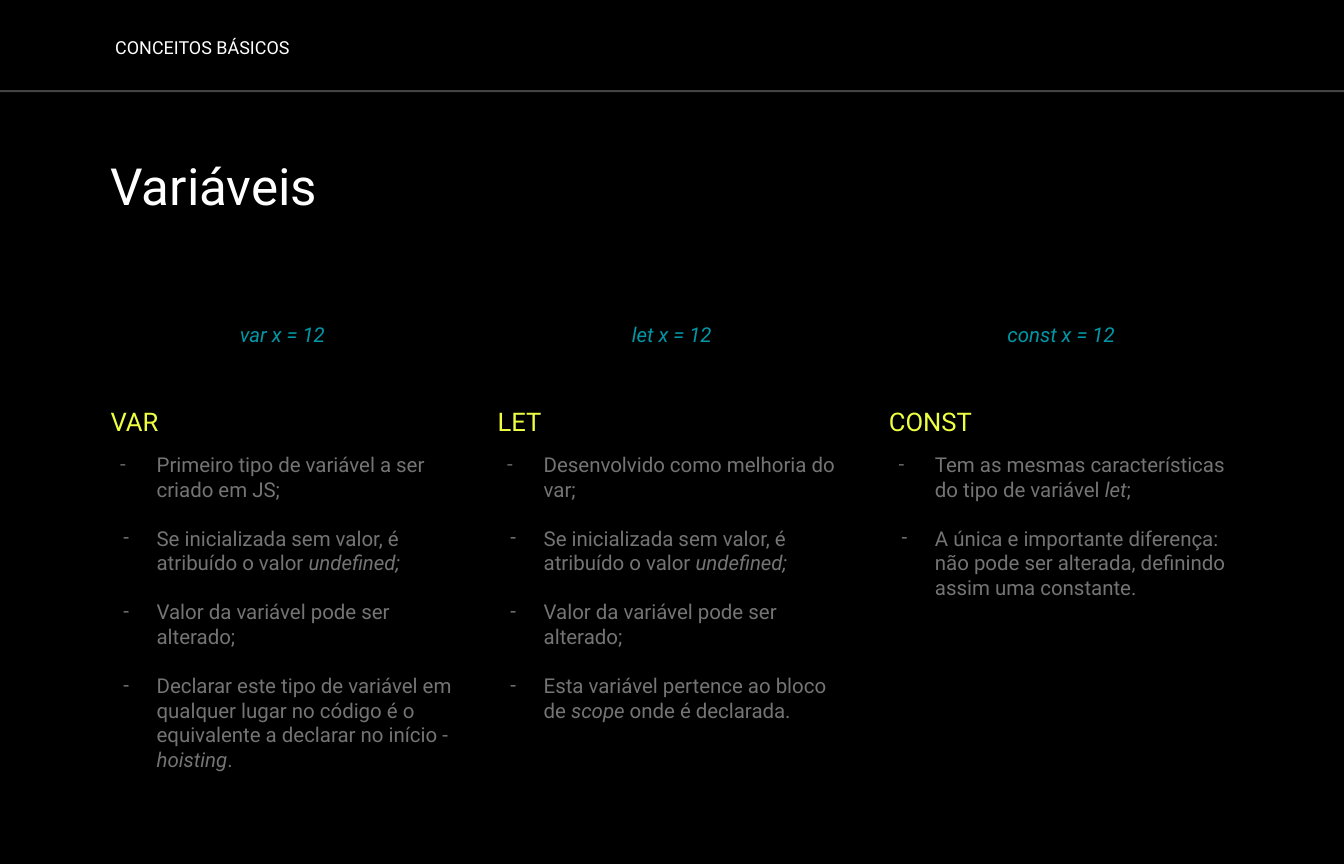
import pptx
import pptx.dml.color
import pptx.enum.shapes
import pptx.enum.text
import pptx.oxml
import pptx.oxml.ns
import pptx.util
import lxml.etree

Pt = pptx.util.Pt
RGBColor = pptx.dml.color.RGBColor
ALIGN = pptx.enum.text.PP_ALIGN
ANCHOR = pptx.enum.text.MSO_ANCHOR

BLACK = RGBColor(0x00, 0x00, 0x00)
WHITE = RGBColor(0xFF, 0xFF, 0xFF)
RULE_GRAY = RGBColor(0x43, 0x43, 0x43)
TEAL = RGBColor(0x00, 0x97, 0xA7)
YELLOW = RGBColor(0xEE, 0xFF, 0x41)
BODY_GRAY = RGBColor(0x74, 0x74, 0x74)
DASH_GRAY = RGBColor(0x66, 0x66, 0x66)

FONT = "Roboto"
SLIDE_WIDTH, SLIDE_HEIGHT = 1050, 675
LEFT = 86.4
COLUMN_WIDTH = 268.5
COLUMN_LEFTS = (LEFT, 388.8, 694.5)

CODE_LINES = ("var x = 12", "let x = 12", "const x = 12")
UNDEFINED_POINT = "Se inicializada sem valor, é atribuído o valor *undefined;*"
CHANGE_POINT = "Valor da variável pode ser alterado;"
KEYWORDS = (
    ("VAR", (
        "Primeiro tipo de variável a ser criado em JS;",
        UNDEFINED_POINT,
        CHANGE_POINT,
        "Declarar este tipo de variável em qualquer lugar no código é o "
        "equivalente a declarar no início - *hoisting*.",
    )),
    ("LET", (
        "Desenvolvido como melhoria do var;",
        UNDEFINED_POINT,
        CHANGE_POINT,
        "Esta variável pertence ao bloco de *scope* onde é declarada.",
    )),
    ("CONST", (
        "Tem as mesmas características do tipo de variável *let*;",
        "A única e importante diferença: não pode ser alterada, definindo "
        "assim uma constante.",
    )),
)


def add_rectangle(slide, left, top, width, height, color):
    shape = slide.shapes.add_shape(
        pptx.enum.shapes.MSO_SHAPE.RECTANGLE,
        Pt(left), Pt(top), Pt(width), Pt(height))
    shape.shadow.inherit = False
    shape.fill.solid()
    shape.fill.fore_color.rgb = color
    shape.line.fill.background()


def add_text_frame(slide, left, top, width, height, inset=0):
    shape = slide.shapes.add_textbox(Pt(left), Pt(top), Pt(width), Pt(height))
    text_frame = shape.text_frame
    text_frame.word_wrap = True
    text_frame.margin_left = text_frame.margin_right = Pt(inset)
    text_frame.margin_top = text_frame.margin_bottom = Pt(inset)
    return text_frame


def format_run(run, size, color, italic=False):
    run.font.name = FONT
    run.font.size = Pt(size)
    run.font.color.rgb = color
    run.font.italic = italic


def add_line(text_frame, text, size, color, italic=False):
    text_frame.text = text
    paragraph = text_frame.paragraphs[0]
    format_run(paragraph.runs[0], size, color, italic)
    return paragraph


def set_dash_bullet(paragraph, hanging, color):
    properties = paragraph._p.get_or_add_pPr()
    properties.set("marL", str(Pt(36)))
    properties.set("indent", str(-Pt(hanging)))
    qn = pptx.oxml.ns.qn
    bullet_color = lxml.etree.SubElement(properties, qn("a:buClr"))
    lxml.etree.SubElement(bullet_color, qn("a:srgbClr")).set("val", str(color))
    lxml.etree.SubElement(properties, qn("a:buFont")).set("typeface", FONT)
    lxml.etree.SubElement(properties, qn("a:buChar")).set("char", "-")


def add_header(slide, left, top, width, height):
    section = add_text_frame(slide, left + 90, top + 28.4, 730.8, 13.7)
    add_line(section, "CONCEITOS BÁSICOS", 14, WHITE)
    add_rectangle(slide, left, top + height, width, 1.5, RULE_GRAY)


def add_title(slide, left, top, width, height):
    title = add_text_frame(slide, left, top, width, height)
    add_line(title, "Variáveis", 40, WHITE).line_spacing = 0.85


def add_code_row(slide, left, top, width, height):
    pitch = (width - COLUMN_WIDTH) / (len(CODE_LINES) - 1)
    for index, code in enumerate(CODE_LINES):
        text_frame = add_text_frame(
            slide, left + index * pitch, top, COLUMN_WIDTH, height, 7.2)
        text_frame.vertical_anchor = ANCHOR.MIDDLE
        add_line(text_frame, code, 16, TEAL, True).alignment = ALIGN.CENTER


def add_keyword_column(slide, left, top, width, height, keyword, points):
    heading = add_text_frame(slide, left, top, width - 72, 24.5)
    add_line(heading, keyword, 20, YELLOW)
    body = add_text_frame(slide, left, top + 36, width, height - 36)
    for index, point in enumerate(points):
        paragraph = body.add_paragraph() if index else body.paragraphs[0]
        if index < len(points) - 1:
            paragraph.space_after = Pt(19.2)
        if index:
            set_dash_bullet(paragraph, 26, BODY_GRAY)
        else:
            set_dash_bullet(paragraph, 28.5, DASH_GRAY)
        for part, text in enumerate(point.split("*")):
            if text:
                run = paragraph.add_run()
                run.text = text
                format_run(run, 16, BODY_GRAY, part % 2 == 1)


presentation = pptx.Presentation()
presentation.slide_width = Pt(SLIDE_WIDTH)
presentation.slide_height = Pt(SLIDE_HEIGHT)
slide = presentation.slides.add_slide(presentation.slide_layouts[6])

add_rectangle(slide, 0, 0, SLIDE_WIDTH, SLIDE_HEIGHT, BLACK)
add_header(slide, 0, 0, SLIDE_WIDTH, 70.5)
add_title(slide, LEFT, 128.2, 873.4, 33.1)
add_code_row(slide, LEFT, 222.5, 876.9, 77)
for column_left, (keyword, points) in zip(COLUMN_LEFTS, KEYWORDS):
    add_keyword_column(
        slide, column_left, 317.2, COLUMN_WIDTH, 282.2, keyword, points)

presentation.save("out.pptx")
